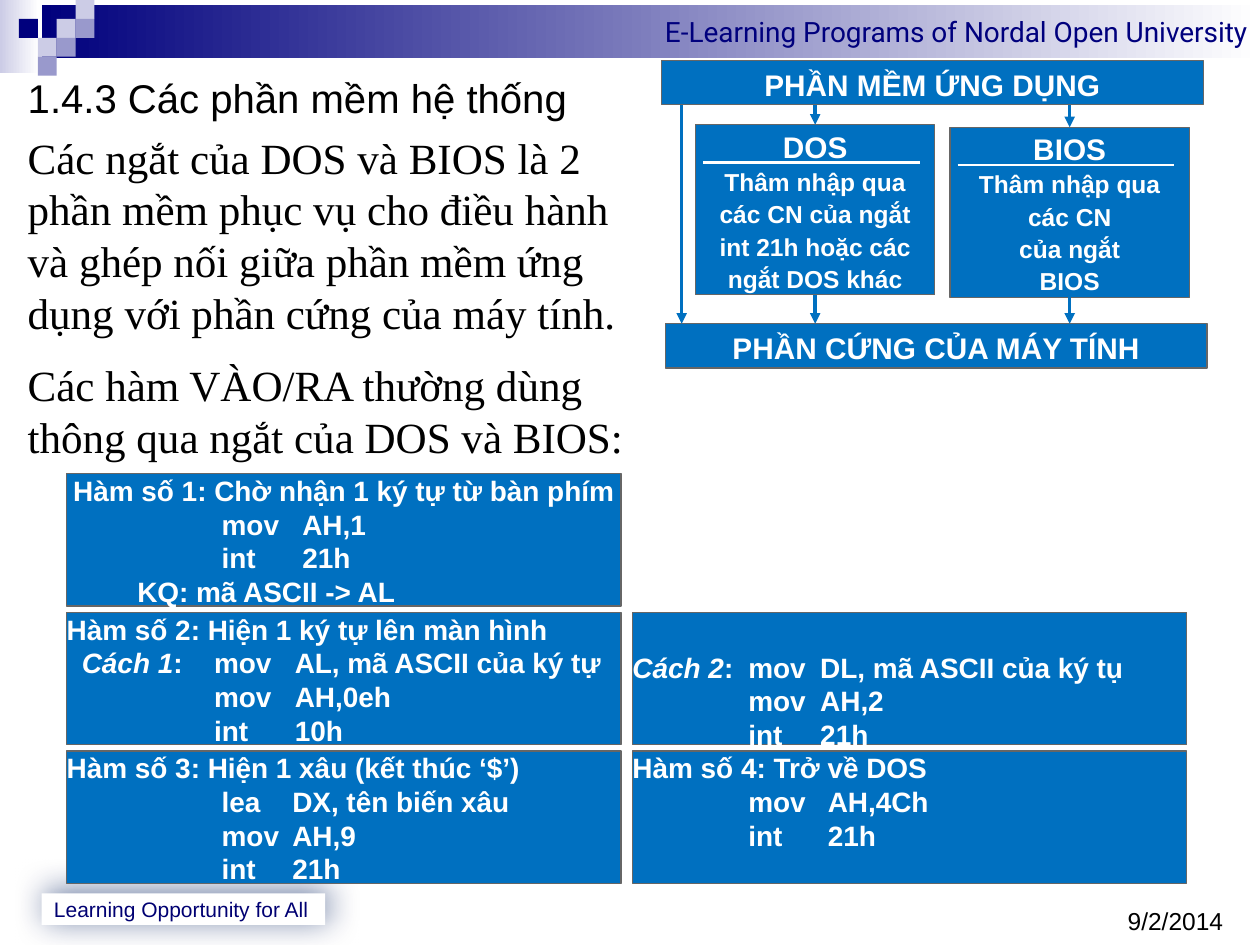
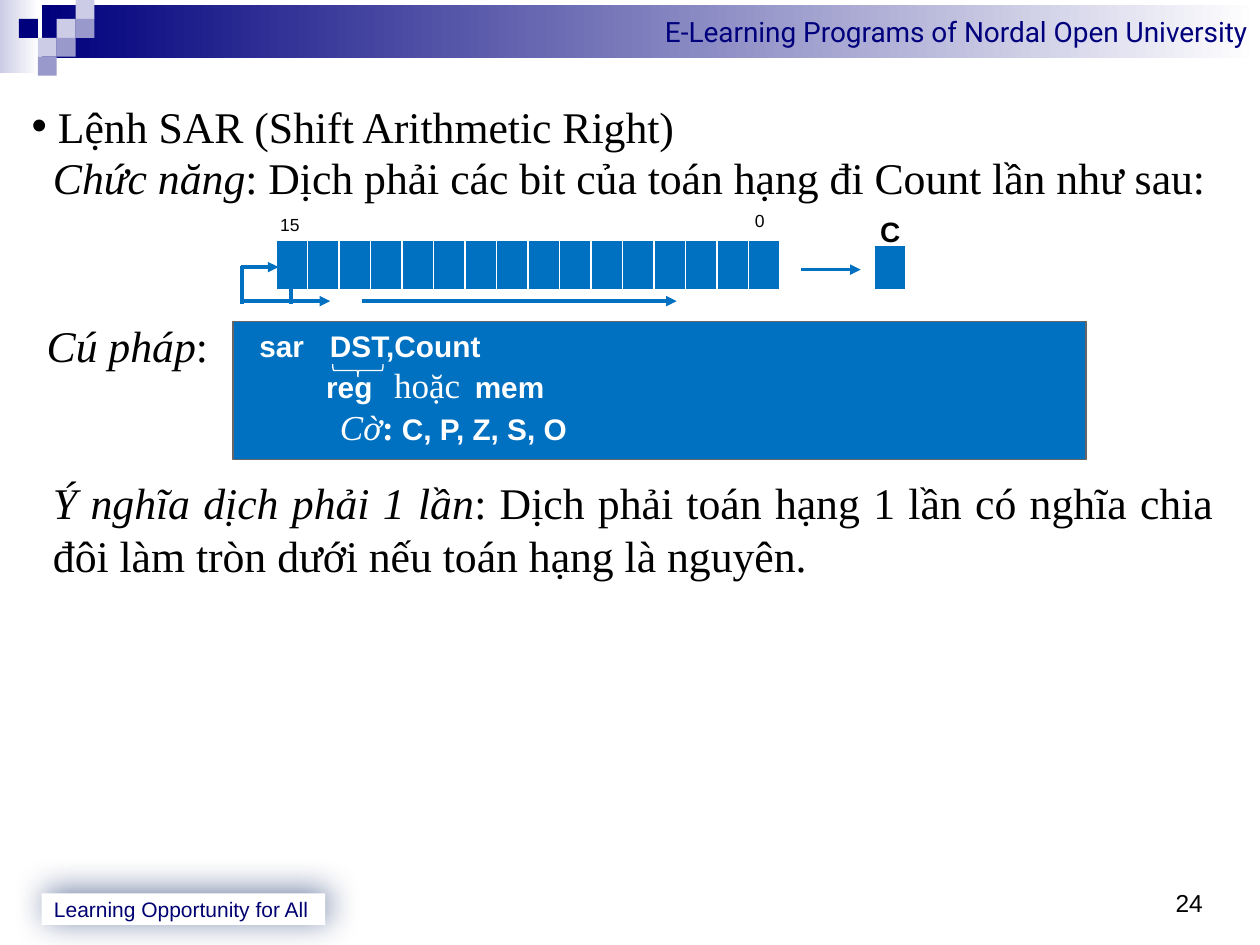
from lxml import etree
from pptx import Presentation
from pptx.dml.color import RGBColor
from pptx.enum.shapes import MSO_CONNECTOR, MSO_SHAPE
from pptx.enum.text import MSO_ANCHOR, MSO_AUTO_SIZE, PP_ALIGN
from pptx.oxml.ns import qn
from pptx.util import Inches, Pt

RECT, BRACE = MSO_SHAPE.RECTANGLE, MSO_SHAPE.RIGHT_BRACE
STRAIGHT = MSO_CONNECTOR.STRAIGHT
TOP, MIDDLE = MSO_ANCHOR.TOP, MSO_ANCHOR.MIDDLE
LEFT, CENTER, RIGHT, JUSTIFY = PP_ALIGN.LEFT, PP_ALIGN.CENTER, PP_ALIGN.RIGHT, PP_ALIGN.JUSTIFY
NO_FIT = MSO_AUTO_SIZE.NONE

NAVY, LILAC, VIOLET = "00007D", "CCCCE6", "9999CC"
BLUE, GREY, WHITE, BLACK = "0070C0", "666666", "FFFFFF", "000000"
SERIF, SANS = "Times New Roman", "Arial"
rgb = RGBColor.from_string

prs = Presentation()
prs.slide_width, prs.slide_height = Inches(10), Inches(7.5)
# Grid: 10 columns by 7.5 rows
COLUMN = prs.slide_width / 10
ROW = prs.slide_height / 7.5


def box(slide, left, top, width, height, fill=None, line=None, kind=RECT):
    """Place a filled shape, or a plain text box when there is no fill."""
    place = [round(n) for n in (left * COLUMN, top * ROW, width * COLUMN, height * ROW)]
    if fill is None:
        return slide.shapes.add_textbox(*place)
    shape = slide.shapes.add_shape(kind, *place)
    shape.shadow.inherit = False
    shape.fill.solid()
    shape.fill.fore_color.rgb = rgb(fill)
    if line:
        shape.line.color.rgb = rgb(line)
        shape.line.width = Pt(0.75)
    else:
        shape.line.fill.background()
    return shape


def write(shape, paragraphs, size, font=SANS, colour=BLACK, bold=False, align=LEFT,
          anchor=TOP, side=0, head=0, spacing=None):
    """Each paragraph is (tab stops, run, ...); a run is text or (text, changes)."""
    frame = shape.text_frame
    frame.word_wrap, frame.auto_size, frame.vertical_anchor = True, NO_FIT, anchor
    frame.margin_left = frame.margin_right = round(side * COLUMN)
    frame.margin_top, frame.margin_bottom = round(head * ROW), 0
    for number, (stops, *runs) in enumerate(paragraphs):
        paragraph = frame.add_paragraph() if number else frame.paragraphs[0]
        paragraph.alignment = align
        if spacing:
            paragraph.line_spacing = spacing
        if stops:
            tabs = etree.SubElement(paragraph._p.get_or_add_pPr(), qn("a:tabLst"))
            for stop in stops:
                etree.SubElement(tabs, qn("a:tab"), pos=str(round(stop * COLUMN)), algn="l")
        for item in runs:
            text, changes = (item, {}) if isinstance(item, str) else item
            run = paragraph.add_run()
            run.text = text
            run.font.name = changes.get("font", font)
            run.font.size = Pt(changes.get("size", size))
            run.font.bold = changes.get("bold", bold)
            run.font.italic = changes.get("italic", False)
            run.font.color.rgb = rgb(colour)


ITALIC = {"italic": True}
title_only = prs.slide_layouts[5]
software, shift = [prs.slides.add_slide(title_only) for _ in range(2)]

# Shared bands, mosaic and motto
SQUARE = 0.15
mosaic = [(2, 1, LILAC), (3, 0, LILAC), (3, 1, VIOLET), (1, 2, LILAC),
          (0, 1, NAVY), (2, 2, VIOLET), (1, 3, VIOLET)]
for slide in (software, shift):
    corner = box(slide, 0, 0, 0.31, 0.58, LILAC)
    header = box(slide, 0.33, 0.04, 9.67, 0.42, NAVY)
    for band, colour in ((corner, LILAC), (header, NAVY)):
        band.fill.gradient()
        band.fill.gradient_angle = 0
        for stop, shade in zip(band.fill.gradient_stops, (colour, WHITE)):
            stop.color.rgb = rgb(shade)
    write(header, [((), "E-Learning Programs of Nordal Open University")], 16, "Roboto",
          NAVY, align=RIGHT, anchor=MIDDLE, side=0.1)
    for across, down, colour in mosaic:
        box(slide, 0.15 + across * SQUARE, down * SQUARE, SQUARE, SQUARE, colour)

    motto = box(slide, 0.33, 7.09, 2.25, 0.25, WHITE)
    write(motto, [((), "Learning Opportunity for All")], 12, colour="000072",
          anchor=MIDDLE, side=0.1)
    effects = motto._element.spPr.find(qn("a:effectLst"))
    glow = etree.SubElement(effects, qn("a:outerShdw"), blurRad=str(Pt(19)),
                            dist=str(Pt(3)), dir=str(315 * 60000), algn="ctr", rotWithShape="0")
    tint = etree.SubElement(glow, qn("a:srgbClr"), val="002060")
    etree.SubElement(tint, qn("a:alpha"), val="56000")

# Titles
for slide, text, left, top, size, font in (
        (software, "1.4.3 Các phần mềm hệ thống", 0.22, 0.58, 22.9, SANS),
        (shift, "Lệnh SAR (Shift Arithmetic Right)", 0.25, 0.79, 25, SERIF)):
    title = slide.shapes.title
    title.left, title.top = round(left * COLUMN), round(top * ROW)
    title.width, title.height = round(9.4 * COLUMN), round(0.42 * ROW)
    write(title, [((), text)], size, font)
software.shapes.title.width = round(4.9 * COLUMN)
bullet = shift.shapes.title.text_frame.paragraphs[0]._p.get_or_add_pPr()
bullet.set("marL", str(round(0.21 * COLUMN)))
bullet.set("indent", str(round(-0.21 * COLUMN)))
etree.SubElement(bullet, qn("a:buFont"), typeface=SANS)
etree.SubElement(bullet, qn("a:buChar"), char="•")

# Date and page number
for slide, text, left, top, width in ((software, "9/2/2014", 8.95, 7.14, 1),
                                      (shift, "24", 9.33, 7, 0.3)):
    write(box(slide, left, top, width, 0.32), [((), text)], 14, head=0.05)

# Slide 1: introduction
intro = box(software, 0.22, 1.04, 4.9, 2.7)
write(intro, [
    ((), "Các ngắt của DOS và BIOS là 2 phần mềm phục vụ cho điều hành"),
    ((), "và ghép nối giữa phần mềm ứng dụng với phần cứng của máy tính."),
    ((), "Các hàm VÀO/RA thường dùng"),
    ((), "thông qua ngắt của DOS và BIOS:")], 24.6, SERIF)
intro.text_frame.paragraphs[2].space_before = Pt(12)

# Slide 1: layers from application to hardware
for text, left, top in (("PHẦN MỀM ỨNG DỤNG", 5.25, 0.48),
                        ("PHẦN CỨNG CỦA MÁY TÍNH", 5.28, 2.57)):
    layer = box(software, left, top, 4.3, 0.35, BLUE, GREY)
    write(layer, [((), text)], 17, colour=WHITE, bold=True, align=CENTER, side=0.1, head=0.05)

# Each connector: slide, start, finish, colour, width, arrow, joined begin, joined end
connectors = [(software, (5.41, 0.83), (5.41, 2.57), BLUE, 2, True, None, None)]
for name, lines, left, top in (
        ("DOS", ["Thâm nhập qua", "các CN của ngắt", "int 21h hoặc các", "ngắt DOS khác"], 5.52, 0.99),
        ("BIOS", ["Thâm nhập qua", "các CN", "của ngắt", "BIOS"], 7.54, 1.01)):
    module = box(software, left, top, 1.9, 1.35, BLUE, GREY)
    write(module, [((), (name, {"size": 17}))] + [((), line) for line in lines], 14,
          colour=WHITE, bold=True, align=CENTER, spacing=1.1)
    middle, bottom, rule = left + 0.95, top + 1.35, top + 0.3
    connectors += [
        (software, (middle, 0.83), (middle, top), BLUE, 2, True, None, module),
        (software, (middle, bottom), (middle, 2.57), BLUE, 2, True, module, None),
        (software, (left + 0.06, rule), (left + 1.78, rule), WHITE, 1.5, False, None, None)]

# Slide 1: interrupt functions on a grid of 2 columns and 3 rows
WIDE, NARROW = (1.23, 1.87), (0.92, 1.55)
SHORT, TIGHT = (1.17, 1.81), (0.92, 1.49)
functions = [
    (0, 0, 0, [((), "Hàm số 1: Chờ nhận 1 ký tự từ bàn phím"),
               (WIDE, "\tmov\tAH,1"), (WIDE, "\tint\t21h"),
               ((0.56,), "\tKQ: mã ASCII -> AL")]),
    (0, 1, 0, [((), "Hàm số 2: Hiện 1 ký tự lên màn hình"),
               ((0.12, *SHORT), "\t", ("Cách 1", ITALIC), ":\tmov\tAL, mã ASCII của ký tự"),
               (SHORT, "\tmov\tAH,0eh"), (SHORT, "\tint\t10h")]),
    (1, 1, 0.3, [(TIGHT, ("Cách 2", ITALIC), ":\tmov\tDL, mã ASCII của ký tụ"),
                 (TIGHT, "\tmov\tAH,2"), (TIGHT, "\tint\t21h")]),
    (0, 2, 0, [((), "Hàm số 3: Hiện 1 xâu (kết thúc ‘$’)"),
               (WIDE[:1] + (1.79,), "\tlea\tDX, tên biến xâu"),
               (WIDE[:1] + (1.79,), "\tmov\tAH,9"), (WIDE[:1] + (1.79,), "\tint\t21h")]),
    (1, 2, 0, [((), "Hàm số 4: Trở về DOS"),
               (NARROW, "\tmov\tAH,4Ch"), (NARROW, "\tint\t21h")]),
]
for across, down, head, code in functions:
    function = box(software, 0.53 + across * 4.49, 3.76 + down * 1.1, 4.4, 1.05, BLUE, GREY)
    write(function, code, 16, colour=WHITE, bold=True, head=head)
    if down == 0:
        function.text_frame.paragraphs[0].alignment = CENTER

# Slide 2: description
for term, rest, left, top, width, height in (
        ("Chức năng", ": Dịch phải các bit của toán hạng đi Count lần như sau:", 0.42, 1.2, 9.31, 0.42),
        ("Cú pháp", ":", 0.37, 2.53, 1.45, 0.42),
        ("Ý nghĩa dịch phải 1 lần",
         ": Dịch phải toán hạng 1 lần có nghĩa chia đôi làm tròn dưới nếu toán hạng là nguyên.",
         0.42, 3.78, 9.21, 0.84)):
    write(box(shift, left, top, width, height), [((), (term, ITALIC), rest)], 25, SERIF,
          align=JUSTIFY)

# Slide 2: 16-bit register, a gap, and the carry bit
BITS, CELLS = 16, 20
register = shift.shapes.add_table(1, CELLS, round(2.19 * COLUMN), round(1.91 * ROW),
                                  round(5 * COLUMN), round(0.4 * ROW)).table
register.first_row = register.horz_banding = False
for index, cell in enumerate(register.iter_cells()):
    cell.margin_left = cell.margin_right = cell.margin_top = cell.margin_bottom = 0
    properties = cell._tc.get_or_add_tcPr()
    for edge, width in (("lnL", 1), ("lnR", 1), ("lnT", 1), ("lnB", 3)):
        border = etree.SubElement(properties, qn("a:" + edge), w=str(Pt(width)))
        paint = etree.SubElement(border, qn("a:solidFill"))
        etree.SubElement(paint, qn("a:srgbClr"), val=WHITE)
    if index < BITS or index == CELLS - 1:
        cell.fill.solid()
        cell.fill.fore_color.rgb = rgb(BLUE)
    else:
        cell.fill.background()

for text, left, top, width, height, size, bold in (("15", 2.15, 1.7, 0.3, 0.17, 10, False),
                                                   ("0", 5.93, 1.67, 0.2, 0.17, 10, False),
                                                   ("C", 6.94, 1.7, 0.25, 0.25, 16, True)):
    label = box(shift, left, top, width, height, WHITE, WHITE)
    write(label, [((), text)], size, bold=bold, align=CENTER)

# Slide 2: syntax
syntax = box(shift, 1.85, 2.55, 6.77, 1.1, BLUE, GREY)
PLAIN = {"font": SERIF, "size": 20, "bold": False}
write(syntax, [
    ((0.11, 0.67), "\tsar\tDST,Count"),
    ((0.64, 1.18, 1.82), "\treg\t", ("hoặc", PLAIN), "\tmem"),
    ((0.75,), "\t", ("Cờ", {**PLAIN, **ITALIC}), (":", {"font": SERIF, "size": 20}),
     " C, P, Z, S, O")], 17, colour=WHITE, bold=True, side=0.1, head=0.05)
brace = box(shift, 2.79, 2.74, 0.1, 0.4, WHITE, WHITE, BRACE)
brace.fill.background()
brace.rotation = 90

# Slide 2: shift direction and sign bit feedback
for start, finish, arrow in (((2.87, 2.39), (5.37, 2.39), True),
                             ((6.36, 2.14), (6.83, 2.14), True),
                             ((1.92, 2.39), (2.62, 2.39), True),
                             ((1.92, 2.11), (1.92, 2.41), False),
                             ((2.31, 2.28), (2.31, 2.41), False),
                             ((1.91, 2.12), (2.21, 2.12), True)):
    connectors.append((shift, start, finish, BLUE, 2, arrow, None, None))

# Draw every connector
for slide, start, finish, colour, width, arrow, begin, end in connectors:
    connector = slide.shapes.add_connector(
        STRAIGHT, round(start[0] * COLUMN), round(start[1] * ROW),
        round(finish[0] * COLUMN), round(finish[1] * ROW))
    if begin is not None:
        connector.begin_connect(begin, 2)
    if end is not None:
        connector.end_connect(end, 0)
    connector.line.color.rgb = rgb(colour)
    connector.line.width = Pt(width)
    if arrow:
        etree.SubElement(connector.line._get_or_add_ln(), qn("a:tailEnd"), type="triangle")
    etree.SubElement(connector._element.spPr, qn("a:effectLst"))

prs.save("out.pptx")
